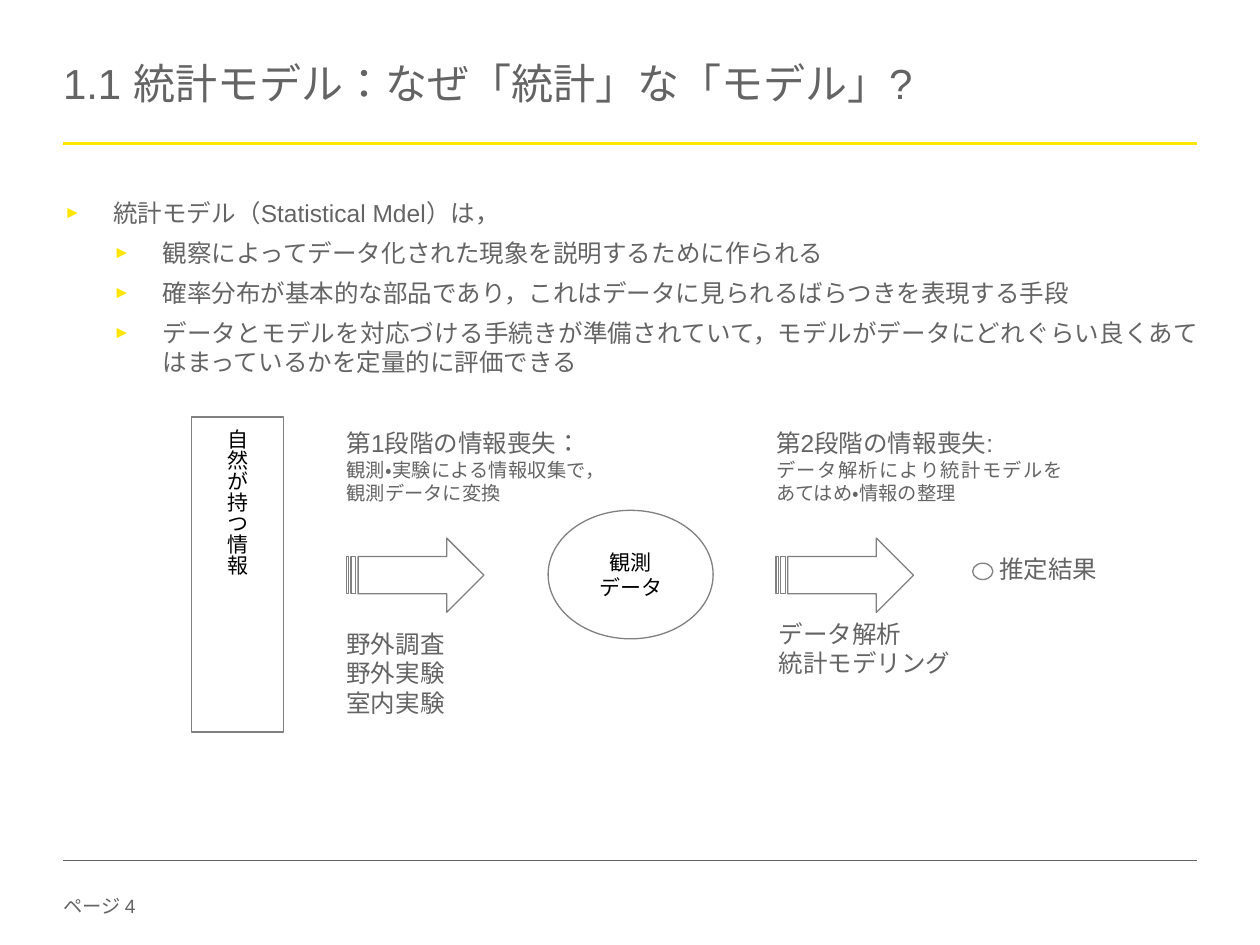
"""Builds a slide that explains why statistical models are used."""
from lxml.etree import SubElement
from pptx import Presentation
from pptx.dml.color import RGBColor
from pptx.enum.lang import MSO_LANGUAGE_ID
from pptx.enum.shapes import MSO_CONNECTOR, MSO_SHAPE
from pptx.enum.text import MSO_ANCHOR, MSO_AUTO_SIZE, PP_ALIGN
from pptx.oxml.ns import qn
from pptx.util import Inches, Pt

GRAY = RGBColor(0x64, 0x64, 0x64)
OUTLINE = RGBColor(0x80, 0x80, 0x80)
YELLOW = RGBColor(0xFF, 0xE6, 0x00)
BLACK = RGBColor(0x00, 0x00, 0x00)
COLUMNS, ROWS = 100, 75
STAGES = (27.5, 61.6)


class Page:
    """Holds the style and the current slide, measured in grid columns and rows."""

    def __init__(self, deck):
        self.font = "Arial"
        self.column = deck.slide_width / COLUMNS
        self.row = deck.slide_height / ROWS
        self.slide = deck.slides.add_slide(deck.slide_layouts[1])

    def area(self, left, top, width, height):
        return (round(left * self.column), round(top * self.row),
                round(width * self.column), round(height * self.row))

    def place(self, shape, area):
        shape.left, shape.top, shape.width, shape.height = self.area(*area)

    def fill_text(self, shape, lines, sizes, color=GRAY, align=PP_ALIGN.JUSTIFY,
                  anchor=MSO_ANCHOR.TOP, margin=0):
        frame = shape.text_frame
        frame.text = "\n".join(lines)
        frame.word_wrap = True
        frame.auto_size = MSO_AUTO_SIZE.NONE
        frame.vertical_anchor = anchor
        if margin is not None:
            frame.margin_left = frame.margin_right = margin
            frame.margin_top = frame.margin_bottom = margin
        for number, paragraph in enumerate(frame.paragraphs):
            paragraph.alignment = align
            for span in paragraph.runs:
                span.font.name = self.font
                span.font.size = Pt(sizes[min(number, len(sizes) - 1)])
                span.font.color.rgb = color
                span.font.language_id = MSO_LANGUAGE_ID.JAPANESE
        return frame

    def title(self, text, area):
        box = self.slide.shapes.title
        self.place(box, area)
        frame = self.fill_text(box, [text], [24], align=PP_ALIGN.LEFT, anchor=MSO_ANCHOR.MIDDLE)
        frame.paragraphs[0].line_spacing = 0.85

    def bullets(self, items, area):
        box = self.slide.placeholders[1]
        self.place(box, area)
        frame = self.fill_text(box, [text for _, text in items], [14])
        for paragraph, (level, _) in zip(frame.paragraphs, items):
            paragraph.level = level
            paragraph.space_before = Pt(6)
            properties = paragraph._p.get_or_add_pPr()
            properties.set("marL", str(Inches(0.39 * (level + 1))))
            properties.set("indent", str(-Inches(0.39)))
            color = SubElement(properties, qn("a:buClr"))
            SubElement(color, qn("a:srgbClr"), val=str(YELLOW))
            SubElement(properties, qn("a:buSzPct"), val="70000")
            SubElement(properties, qn("a:buFont"), typeface=self.font)
            SubElement(properties, qn("a:buChar"), char="►")

    def text(self, lines, area, sizes=(14,), **style):
        box = self.slide.shapes.add_textbox(*self.area(*area))
        return self.fill_text(box, lines, sizes, **style)

    def shape(self, kind, area, lines=(), align=PP_ALIGN.CENTER):
        shape = self.slide.shapes.add_shape(kind, *self.area(*area))
        shape.shadow.inherit = False
        shape.fill.background()
        shape.line.color.rgb = OUTLINE
        shape.line.width = Pt(0.75)
        if lines:
            self.fill_text(shape, lines, [12], BLACK, align, MSO_ANCHOR.MIDDLE, None)
        return shape

    def rule(self, row, color, width):
        left, top, span, _ = self.area(5, row, 90, 0)
        line = self.slide.shapes.add_connector(MSO_CONNECTOR.STRAIGHT, left, top, left + span, top)
        line.line.color.rgb = color
        line.line.width = Pt(width)
        SubElement(line._element.spPr, qn("a:effectLst"))


def main():
    deck = Presentation()
    deck.slide_width, deck.slide_height = Inches(10), Inches(7.5)
    page = Page(deck)

    page.text(["ページ 4"], (5, 71, 7.9, 2.2), [11], align=PP_ALIGN.LEFT)
    page.rule(11.4, YELLOW, 1.5)
    page.rule(68.3, GRAY, 0.25)
    page.title("1.1 統計モデル：なぜ「統計」な「モデル」?", (5, 2.2, 90, 9.4))
    page.bullets([
        (0, "統計モデル（Statistical Mdel）は，"),
        (1, "観察によってデータ化された現象を説明するために作られる"),
        (1, "確率分布が基本的な部品であり，これはデータに見られるばらつきを表現する手段"),
        (1, "データとモデルを対応づける手続きが準備されていて，"
            "モデルがデータにどれぐらい良くあてはまっているかを定量的に評価できる"),
    ], (5.1, 15.7, 90, 51.4))

    nature = page.shape(MSO_SHAPE.RECTANGLE, (15.2, 33.1, 7.3, 25),
                        ["自然が持つ情報"], PP_ALIGN.LEFT)
    nature.text_frame._txBody.bodyPr.set("vert", "eaVert")
    page.shape(MSO_SHAPE.OVAL, (43.5, 40.5, 13.1, 10.2), ["観測", "データ"])
    for left in STAGES:
        page.shape(MSO_SHAPE.STRIPED_RIGHT_ARROW, (left, 42.7, 10.9, 5.9))
    page.shape(MSO_SHAPE.OVAL, (77.2, 44.7, 1.6, 1.3))

    first, second = STAGES
    result = page.text(["推定結果"], (79.3, 43.5, 10.4, 3.3), anchor=MSO_ANCHOR.MIDDLE)
    result.paragraphs[0].space_before = Pt(6)
    page.text(["データ解析", "統計モデリング"], (61.8, 49.8, 15.3, 3.3), anchor=MSO_ANCHOR.MIDDLE)
    page.text(["第2段階の情報喪失:", "データ解析により統計モデルをあてはめ・情報の整理"],
              (second, 34, 22.8, 4.6), (14, 11))
    page.text(["第1段階の情報喪失：", "観測・実験による情報収集で，観測データに変換"],
              (first, 34, 20.5, 4.6), (14, 11))
    page.text(["野外調査", "野外実験", "室内実験"], (first, 49.9, 15.3, 9.3))

    deck.save("out.pptx")


if __name__ == "__main__":
    main()
